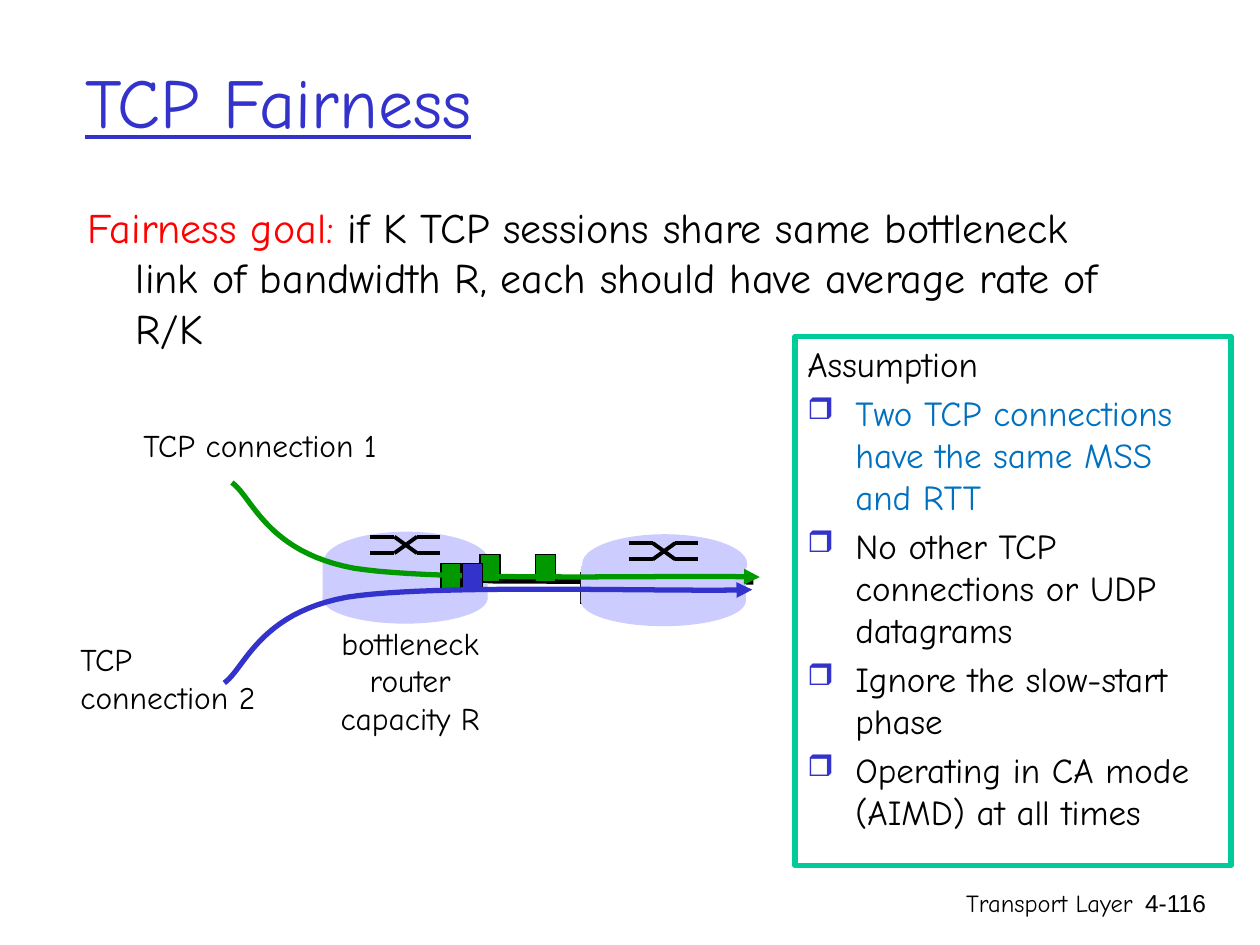
from lxml import etree
from pptx import Presentation
from pptx import util as u
from pptx.dml.color import RGBColor
from pptx.enum import shapes, text
from pptx.oxml import ns

COLORS = {
    "black": "000000", "red": "FF0000", "blue": "3333CC", "green": "009900",
    "router": "CCCCFF", "frame": "00CC99", "highlight": "0070C0",
}
LEFT, CENTER, RIGHT = text.PP_ALIGN.LEFT, text.PP_ALIGN.CENTER, text.PP_ALIGN.RIGHT
RECT, OVAL = shapes.MSO_SHAPE.RECTANGLE, shapes.MSO_SHAPE.OVAL
HANG = 0.38


def add_xml(parent, tag, **attributes):
    return etree.SubElement(parent, ns.qn(tag), attributes)


def bezier(start, control1, control2, end, steps=24):
    """Points on a cubic curve, without its start."""
    points = []
    for step in range(1, steps + 1):
        t = step / steps
        weights = ((1 - t) ** 3, 3 * t * (1 - t) ** 2, 3 * t * t * (1 - t), t ** 3)
        corners = (start, control1, control2, end)
        points.append(tuple(sum(w * c[axis] for w, c in zip(weights, corners))
                            for axis in (0, 1)))
    return points


class Painter:
    """Holds the style and the slide being drawn."""

    def __init__(self, page, font="Comic Neue"):
        self.page = page
        self.font = font

    def color(self, name):
        return RGBColor.from_string(COLORS[name])

    def outline(self, line, color, width):
        line.color.rgb = self.color(color)
        line.width = u.Pt(width)

    def text(self, place, paragraphs, size, align=LEFT, wrap=True, font=None,
             hang=0, underline=None, middle=False, frame=None):
        """Each paragraph is (bulleted, [(words, color), ...])."""
        box = self.page.shapes.add_textbox(*map(u.Inches, place))
        if frame:
            self.outline(box.line, frame, 3)
        body = box.text_frame
        body.word_wrap = wrap
        body.vertical_anchor = text.MSO_ANCHOR.MIDDLE if middle else text.MSO_ANCHOR.TOP
        for index, (bulleted, runs) in enumerate(paragraphs):
            para = body.add_paragraph() if index else body.paragraphs[0]
            para.alignment = align
            if index and hang:
                para.space_before = u.Pt(size * 0.2)
            if hang:
                properties = para._p.get_or_add_pPr()
                properties.set("marL", str(u.Inches(hang)))
                properties.set("indent", str(-u.Inches(hang)))
                if bulleted:
                    tint = add_xml(properties, "a:buClr")
                    add_xml(tint, "a:srgbClr", val=COLORS["blue"])
                    add_xml(properties, "a:buSzPct", val="85000")
                    add_xml(properties, "a:buChar", char="❒")
            for words, color in runs:
                span = para.add_run()
                span.text = words
                span.font.name = font or self.font
                span.font.size = u.Pt(size)
                span.font.underline = underline
                span.font.color.rgb = self.color(color)

    def shape(self, kind, place, fill, line=None):
        shape = self.page.shapes.add_shape(kind, *map(u.Inches, place))
        shape.shadow.inherit = False
        shape.fill.solid()
        shape.fill.fore_color.rgb = self.color(fill)
        if line:
            self.outline(shape.line, line, 0.75)
        else:
            shape.line.fill.background()

    def line(self, start, end, width):
        line = self.page.shapes.add_connector(
            shapes.MSO_CONNECTOR.STRAIGHT, *map(u.Inches, (*start, *end)))
        self.outline(line.line, "black", width)
        add_xml(line._element.spPr, "a:effectLst")

    def flow(self, start, curves, color):
        """Smooth open path ending in an arrowhead."""
        points = [start]
        for curve in curves:
            points += bezier(points[-1], *curve)
        builder = self.page.shapes.build_freeform(
            *map(u.Inches, start), scale=1.0)
        builder.add_line_segments(
            [(u.Inches(x), u.Inches(y)) for x, y in points[1:]], close=False)
        path = builder.convert_to_shape()
        path.shadow.inherit = False
        path.fill.background()
        self.outline(path.line, color, 3)
        add_xml(path.line._get_or_add_ln(), "a:tailEnd", type="triangle")

    def router(self, x, y, icon_y):
        self.shape(OVAL, (x, y + 0.33, 1.31, 0.4), "router")
        self.shape(RECT, (x, y + 0.25, 1.31, 0.29), "router")
        self.shape(OVAL, (x + 0.01, y, 1.31, 0.47), "router")
        stops = [x + 0.38 + step for step in (0, 0.19, 0.37, 0.55)]
        top, bottom = icon_y, icon_y + 0.13
        for first, last in ((top, bottom), (bottom, top)):
            self.line((stops[0], first), (stops[1], first), 2.25)
            self.line((stops[1], first), (stops[2], last), 2.25)
            self.line((stops[2], last), (stops[3], last), 2.25)

    def packet(self, x, y, color):
        self.shape(RECT, (x, y, 0.16, 0.22), color, "black")


def plain(*lines, color="black"):
    return [(False, [(line, color)]) for line in lines]


def main():
    deck = Presentation()
    deck.slide_width, deck.slide_height = u.Inches(10), u.Inches(7.5)
    page = deck.slides.add_slide(deck.slide_layouts[6])
    painter = Painter(page)

    painter.text((5.92, 7, 3.17, 0.5), plain("Transport Layer"), 14, RIGHT)
    painter.text((8.93, 7, 0.74, 0.5), plain("4-116"), 14, RIGHT, font="Arial")
    painter.text((0.58, 0.17, 8.5, 1.25), plain("TCP Fairness", color="blue"), 40,
                 underline=True, middle=True)
    goal = [("Fairness goal:", "red"),
            (" if K TCP sessions share same bottleneck link of bandwidth R, "
             "each should have average rate of R/K", "black")]
    painter.text((0.6, 1.55, 8.33, 2.4), [(False, goal)], 24, hang=HANG)

    painter.line((3.86, 4.61), (5.98, 4.62), 3)
    painter.line((4.61, 4.54), (4.61, 4.79), 1)
    painter.router(2.56, 4.22, 4.26)
    painter.router(4.61, 4.24, 4.31)
    for x, y in ((4.25, 4.4), (3.5, 4.47), (3.81, 4.4)):
        painter.packet(x, y, "green")

    painter.text((1.04, 3.33, 2.15, 0.4), plain("TCP connection 1"), 18, wrap=False)
    painter.text((2.53, 4.9, 1.45, 1), plain("bottleneck", "router", "capacity R"),
                 18, CENTER, wrap=False)
    painter.text((0.54, 5.03, 1.66, 0.7), plain("TCP", "connection 2"), 18, wrap=False)

    painter.flow((1.84, 3.83), [((2, 3.94), (2.11, 4.38), (2.81, 4.51)),
                                ((3.51, 4.62), (5.36, 4.56), (6.03, 4.58))], "green")
    painter.packet(3.67, 4.47, "blue")
    painter.flow((1.78, 5.42), [((1.94, 5.31), (2.05, 4.87), (2.75, 4.74)),
                                ((3.44, 4.63), (5.3, 4.7), (5.97, 4.68))], "blue")

    assumptions = [
        ("Two TCP connections have the same MSS and RTT", "highlight"),
        ("No other TCP connections or UDP datagrams", "black"),
        ("Ignore the slow-start phase", "black"),
        ("Operating in CA mode (AIMD) at all times", "black"),
    ]
    painter.text((6.31, 2.67, 3.46, 4.2),
                 plain("Assumption") + [(True, [item]) for item in assumptions],
                 20, hang=HANG, frame="frame")
    deck.save("out.pptx")


if __name__ == "__main__":
    main()
